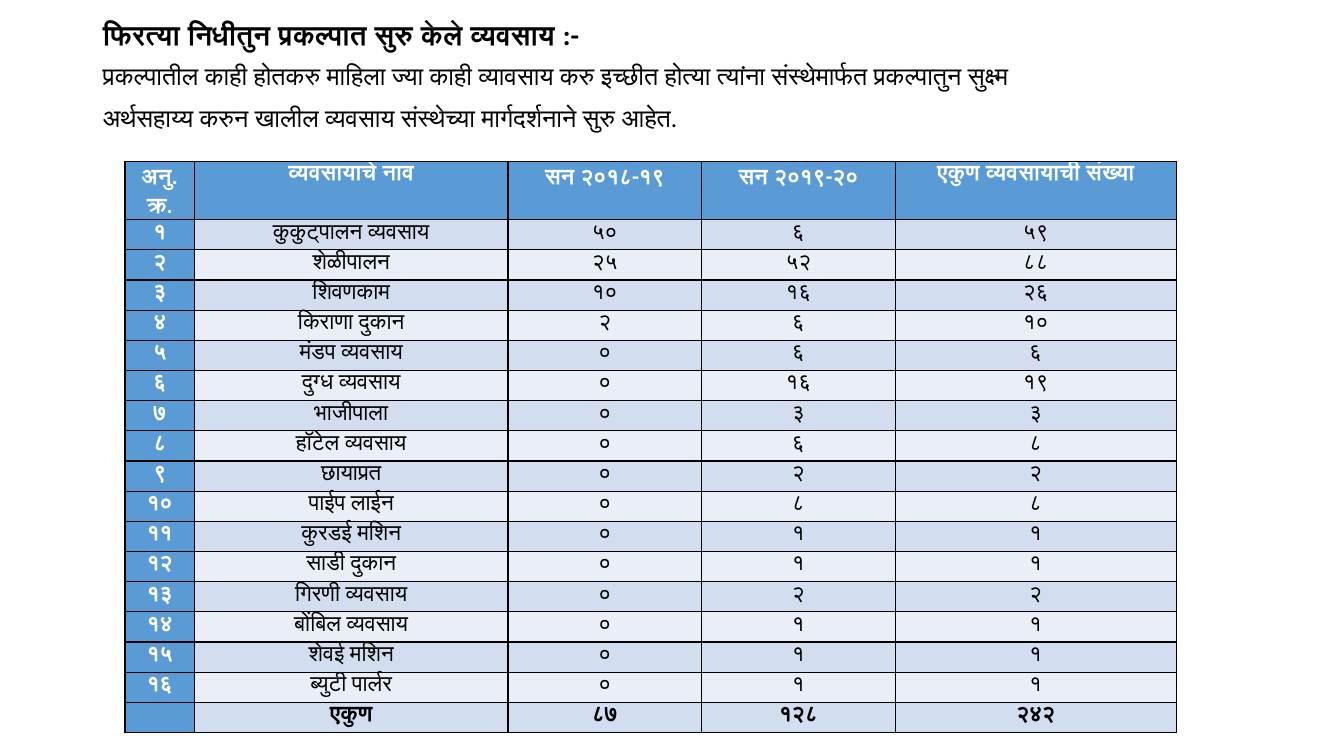
from lxml import etree
from pptx import Presentation
from pptx.dml.color import RGBColor
from pptx.enum.text import MSO_ANCHOR, MSO_AUTO_SIZE, PP_ALIGN
from pptx.oxml.ns import qn
from pptx.util import Cm, Pt

TOP = MSO_ANCHOR.TOP
FIXED = MSO_AUTO_SIZE.NONE
LEFT, MID = PP_ALIGN.LEFT, PP_ALIGN.CENTER

THEME = {
    "font": "Calibri",
    "head": Pt(20),
    "body": Pt(18),
    "cell": Pt(16),
    "line": Pt(1),
    "black": RGBColor.from_string("000000"),
    "white": RGBColor.from_string("FFFFFF"),
    "blue": RGBColor.from_string("5B9BD5"),
    "bands": [RGBColor.from_string("EAEFF7"), RGBColor.from_string("D2DEEF")],
}

TITLE = "फिरत्या निधीतुन प्रकल्पात सुरु केले व्यवसाय :-"
INTRO = [
    "प्रकल्पातील काही होतकरु माहिला ज्या काही व्यावसाय करु इच्छीत होत्या त्यांना संस्थेमार्फत प्रकल्पातुन सुक्ष्म",
    "अर्थसहाय्य करुन खालील व्यवसाय संस्थेच्या मार्गदर्शनाने सुरु आहेत.",
]
ROWS = [
    ("अनु.क्र.", "व्यवसायाचे नाव", "सन २०१८-१९", "सन २०१९-२०", "एकुण व्यवसायाची संख्या"),
    ("१", "कुकुट्पालन व्यवसाय", "५०", "६", "५९"),
    ("२", "शेळीपालन", "२५", "५२", "८८"),
    ("३", "शिवणकाम", "१०", "१६", "२६"),
    ("४", "किराणा दुकान", "२", "६", "१०"),
    ("५", "मंडप व्यवसाय", "०", "६", "६"),
    ("६", "दुग्ध व्यवसाय", "०", "१६", "१९"),
    ("७", "भाजीपाला", "०", "३", "३"),
    ("८", "हॉटेल व्यवसाय", "०", "६", "८"),
    ("९", "छायाप्रत", "०", "२", "२"),
    ("१०", "पाईप लाईन", "०", "८", "८"),
    ("११", "कुरडई मशिन", "०", "१", "१"),
    ("१२", "साडी दुकान", "०", "१", "१"),
    ("१३", "गिरणी व्यवसाय", "०", "२", "२"),
    ("१४", "बोंबिल व्यवसाय", "०", "१", "१"),
    ("१५", "शेवई मशिन", "०", "१", "१"),
    ("१६", "ब्युटी पार्लर", "०", "१", "१"),
    ("", "एकुण", "८७", "१२८", "२४२"),
]
WIDTHS = [1.75, 7.9, 4.88, 4.88, 7.08]
HEIGHTS = [1.47] + [0.76] * (len(ROWS) - 1)


def style(para, size, color, bold, align, space):
    para.alignment = align
    para.line_spacing = space
    font = para.font
    font.name = THEME["font"]
    font.size = size
    font.bold = bold
    font.color.rgb = color


def border(cell):
    props = cell._tc.get_or_add_tcPr()
    for spot, side in enumerate(("a:lnL", "a:lnR", "a:lnT", "a:lnB")):
        line = etree.Element(qn(side), w=str(THEME["line"]))
        fill = etree.SubElement(line, qn("a:solidFill"))
        etree.SubElement(fill, qn("a:srgbClr"), val=str(THEME["black"]))
        props.insert(spot, line)


deck = Presentation()
deck.slide_width, deck.slide_height = Cm(33.87), Cm(19.05)
slide = deck.slides.add_slide(deck.slide_layouts[5])

title = slide.shapes.title
title.left, title.top, title.width, title.height = Cm(2.34), Cm(0.41), Cm(29.21), Cm(1.1)
title.text_frame.text = TITLE
intro = slide.shapes.add_textbox(Cm(2.34), Cm(1.49), Cm(29.21), Cm(2.1))
intro.text_frame.text = "\n".join(INTRO)

for shape, size, bold in ((title, THEME["head"], True), (intro, THEME["body"], False)):
    frame = shape.text_frame
    frame.word_wrap = True
    frame.auto_size = FIXED
    frame.vertical_anchor = TOP
    for para in frame.paragraphs:
        style(para, size, THEME["black"], bold, LEFT, 0.9)
        para.space_before = Pt(10)

table = slide.shapes.add_table(
    len(ROWS), len(WIDTHS), Cm(3.15), Cm(4.06), Cm(sum(WIDTHS)), Cm(sum(HEIGHTS))
).table
for col, width in zip(table.columns, WIDTHS):
    col.width = Cm(width)

for r, (row, height) in enumerate(zip(ROWS, HEIGHTS)):
    table.rows[r].height = Cm(height)
    for c, text in enumerate(row):
        cell = table.cell(r, c)
        label = r == 0 or c == 0
        total = r == len(ROWS) - 1
        cell.margin_left = cell.margin_right = Cm(0.18)
        cell.margin_top = cell.margin_bottom = 0
        cell.fill.solid()
        cell.fill.fore_color.rgb = THEME["blue"] if label else THEME["bands"][r % 2]
        cell.text = text
        color = THEME["white"] if label else THEME["black"]
        style(cell.text_frame.paragraphs[0], THEME["cell"], color, label or total, MID, 1.07)
        border(cell)

deck.save("out.pptx")
